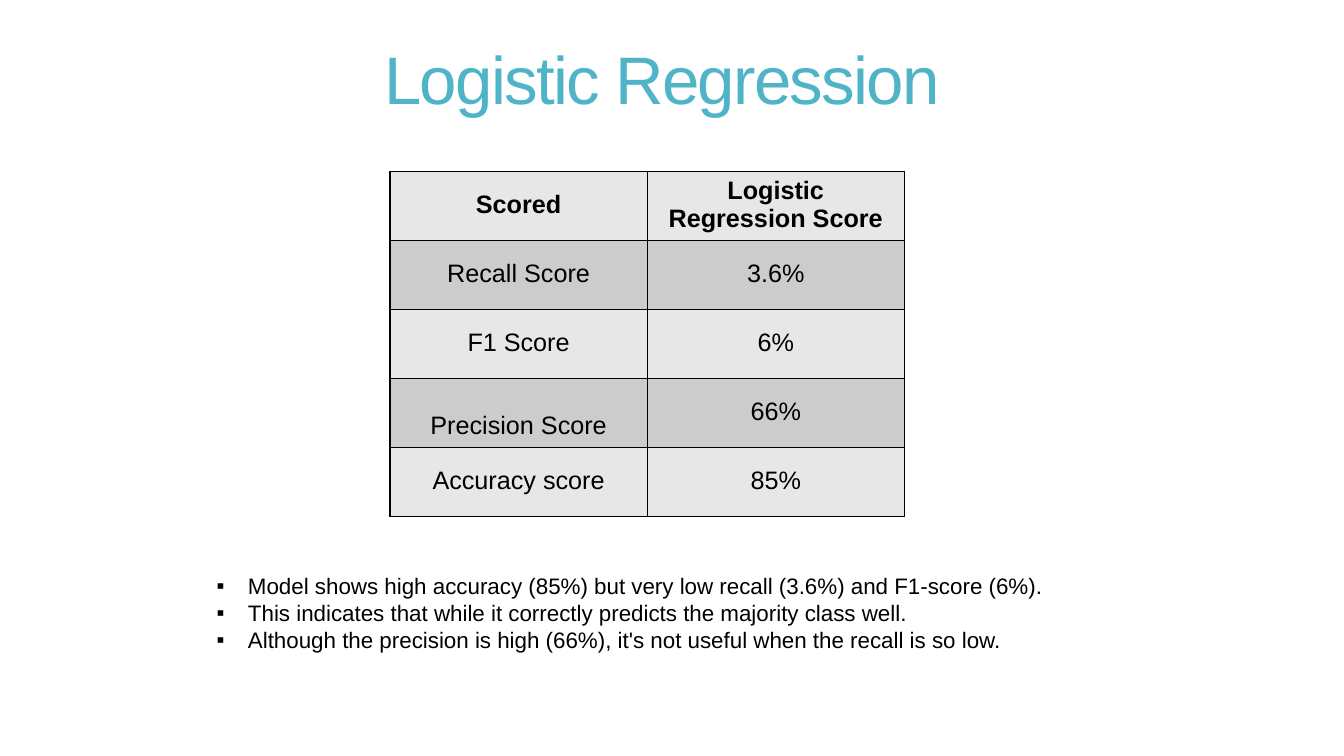
import dataclasses

import lxml.etree
import pptx
import pptx.dml.color
import pptx.enum.text
import pptx.oxml.ns
import pptx.util

Cm = pptx.util.Cm
Pt = pptx.util.Pt
qn = pptx.oxml.ns.qn

TITLE = "Logistic Regression"
SCORES = [
    [("Scored", 1.5), ("Logistic Regression Score", 1.0)],
    [("Recall Score", 1.5), ("3.6%", 1.5)],
    [("F1 Score", 1.5), ("6%", 1.5)],
    [("Precision Score", 2.0), ("66%", 1.5)],
    [("Accuracy score", 1.5), ("85%", 1.5)],
]
FINDINGS = [
    "Model shows high accuracy (85%) but very low recall (3.6%) and F1-score (6%).",
    "This indicates that while it correctly predicts the majority class well.",
    "Although the precision is high (66%), it's not useful when the recall is so low.",
]


@dataclasses.dataclass(frozen=True)
class Theme:
    font: str = "Arial"
    accent: str = "50B4C8"
    text: str = "000000"
    border: str = "000000"
    bands: tuple = ("E7E7E7", "CCCCCC")
    title_size: int = 48
    table_size: int = 18
    body_size: int = 16


THEME = Theme()
CENTER = pptx.enum.text.PP_ALIGN.CENTER
COLUMN_WIDTH = Cm(6.48)
ROW_HEIGHT = Cm(1.74)
BULLET_INDENT = Cm(0.79)


def rgb(value):
    return pptx.dml.color.RGBColor.from_string(value)


def format_runs(paragraph, size, color, bold=False):
    for run in paragraph.runs:
        run.font.name = THEME.font
        run.font.size = Pt(size)
        run.font.bold = bold
        run.font.color.rgb = rgb(color)


def add_borders(cell):
    properties = cell._tc.get_or_add_tcPr()
    for side in ("lnL", "lnR", "lnT", "lnB"):
        line = lxml.etree.SubElement(properties, qn(f"a:{side}"), w=str(Pt(1)))
        fill = lxml.etree.SubElement(line, qn("a:solidFill"))
        lxml.etree.SubElement(fill, qn("a:srgbClr"), val=THEME.border)


def add_bullet(paragraph):
    properties = paragraph._p.get_or_add_pPr()
    properties.set("marL", str(BULLET_INDENT))
    properties.set("indent", str(-BULLET_INDENT))
    lxml.etree.SubElement(properties, qn("a:buFont"), typeface=THEME.font)
    lxml.etree.SubElement(properties, qn("a:buChar"), char="▪")


def format_title(slide):
    title = slide.shapes.title
    title.left, title.top = Cm(1.73), Cm(0.3)
    title.width, title.height = Cm(29.92), Cm(3.61)
    text_frame = title.text_frame
    text_frame.text = TITLE
    text_frame.auto_size = pptx.enum.text.MSO_AUTO_SIZE.NONE
    text_frame.vertical_anchor = pptx.enum.text.MSO_ANCHOR.MIDDLE
    paragraph = text_frame.paragraphs[0]
    paragraph.alignment = CENTER
    paragraph.line_spacing = 0.85
    format_runs(paragraph, THEME.title_size, THEME.accent)
    paragraph.runs[0]._r.get_or_add_rPr().set("spc", "-120")


def add_score_table(slide):
    row_count, column_count = len(SCORES), len(SCORES[0])
    table = slide.shapes.add_table(
        row_count, column_count, Cm(9.83), Cm(4.32),
        COLUMN_WIDTH * column_count, ROW_HEIGHT * row_count,
    ).table
    for row_index, row in enumerate(SCORES):
        for column_index, (text, line_spacing) in enumerate(row):
            cell = table.cell(row_index, column_index)
            add_borders(cell)
            cell.fill.solid()
            cell.fill.fore_color.rgb = rgb(THEME.bands[row_index % 2])
            cell.text_frame.text = text
            paragraph = cell.text_frame.paragraphs[0]
            paragraph.alignment = CENTER
            paragraph.line_spacing = line_spacing
            format_runs(paragraph, THEME.table_size, THEME.text, bold=row_index == 0)


def add_findings(slide):
    shape = slide.shapes.add_textbox(Cm(5.21), Cm(14.3), Cm(30.61), Cm(2.31))
    text_frame = shape.text_frame
    text_frame.word_wrap = True
    text_frame.auto_size = pptx.enum.text.MSO_AUTO_SIZE.SHAPE_TO_FIT_TEXT
    text_frame.text = "\n".join(FINDINGS)
    for paragraph in text_frame.paragraphs:
        add_bullet(paragraph)
        format_runs(paragraph, THEME.body_size, THEME.text)


def main():
    presentation = pptx.Presentation()
    presentation.slide_width = Cm(33.87)
    presentation.slide_height = Cm(19.05)
    slide = presentation.slides.add_slide(presentation.slide_layouts[5])
    format_title(slide)
    add_score_table(slide)
    add_findings(slide)
    presentation.save("out.pptx")


if __name__ == "__main__":
    main()
